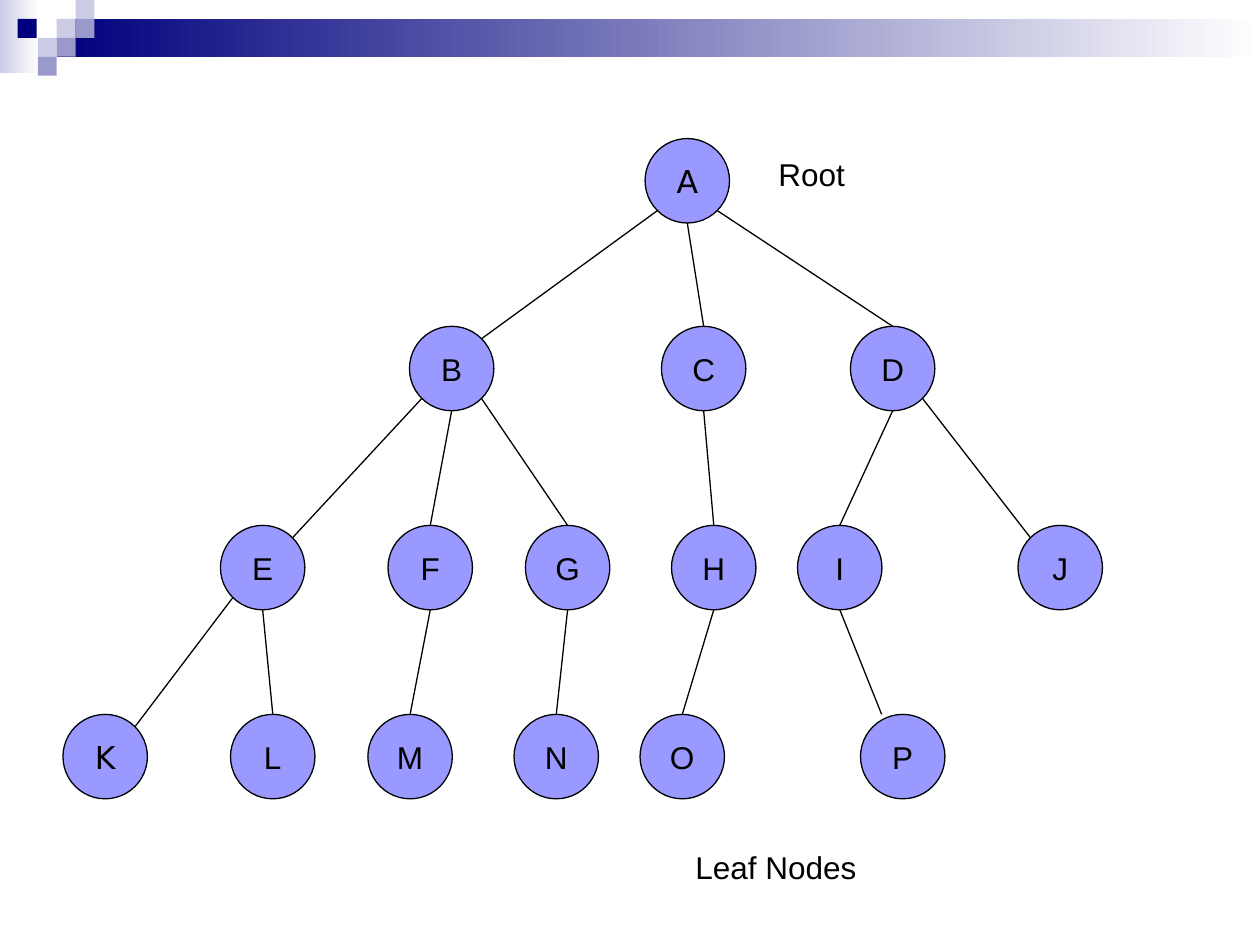
from lxml import etree
from pptx import Presentation
from pptx.dml.color import RGBColor
from pptx.enum import dml, shapes, text
from pptx.oxml import ns
from pptx.util import Inches, Pt

THEME = {
    "navy": "00007D", "lavender": "CCCCE6", "violet": "9999CC",
    "white": "FFFFFF", "node": "9999FF", "ink": "000000",
    "font": "Arial", "symbol_font": "DejaVu Sans", "size": Pt(18), "line": Pt(0.75),
}


def colour(name):
    return RGBColor.from_string(THEME[name])


def write(frame, words, font_name, **format_values):
    for name, value in format_values.items():
        setattr(frame, name, value)
    paragraph = frame.paragraphs[0]
    paragraph.text = words
    for name, value in {"name": THEME[font_name], "size": THEME["size"]}.items():
        setattr(paragraph.font, name, value)
    paragraph.font.color.rgb = colour("ink")
    return paragraph


prs = Presentation()
prs.slide_width, prs.slide_height = Inches(10), Inches(7.5)
slide = prs.slides.add_slide(prs.slide_layouts[6])

# Header band: two gradient bars, then the small squares
header = [
    (0, 0, 0.31, 0.58, ("lavender", "white")),
    (0.45, 0.15, 9.55, 0.3, ("navy", "white")),
]
squares = [
    (0.45, 0.15, "lavender"), (0.6, 0, "lavender"), (0.6, 0.15, "violet"),
    (0.3, 0.3, "lavender"), (0.14, 0.15, "navy"), (0.45, 0.3, "violet"),
    (0.3, 0.45, "violet"),
]
header += [(left, top, 0.15, 0.15, (fill,)) for left, top, fill in squares]
for *place, fills in header:
    block = slide.shapes.add_shape(shapes.MSO_SHAPE.RECTANGLE, *map(Inches, place))
    block.shadow.inherit = False
    block.line.fill.background()
    if len(fills) == 1:
        block.fill.solid()
        block.fill.fore_color.rgb = colour(fills[0])
    else:
        block.fill.gradient()
        block.fill.gradient_angle = 0
        for stop, fill, position in zip(block.fill.gradient_stops, fills, (0, 1)):
            stop.color.rgb = colour(fill)
            stop.position = position

# Tree nodes: one row per level, as top and the left of each node
DIAMETER = 0.67
levels = [
    (1.1, {"A": 5.12}),
    (2.59, {"B": 3.25, "C": 5.25, "D": 6.75}),
    (4.17, {"E": 1.75, "F": 3.08, "G": 4.17, "H": 5.33, "I": 6.33, "J": 8.08}),
    (5.67, {"K": 0.5, "L": 1.83, "M": 2.92, "N": 4.08, "O": 5.08, "P": 6.83}),
]
nodes = {}
for top, row in levels:
    for letter, left in row.items():
        node = slide.shapes.add_shape(
            shapes.MSO_SHAPE.OVAL, *map(Inches, (left, top, DIAMETER, DIAMETER)))
        node.shadow.inherit = False
        node.fill.solid()
        node.fill.fore_color.rgb = colour("node")
        node.line.color.rgb = colour("ink")
        node.line.width = THEME["line"]
        label = write(node.text_frame, letter,
                      "symbol_font" if letter in "AK" else "font",
                      word_wrap=False, vertical_anchor=text.MSO_ANCHOR.MIDDLE)
        label.alignment = text.PP_ALIGN.CENTER
        nodes[letter] = node

# Branches: ends on the circles, as fractions of the diameter
ENDS = {
    "top": (0.5, 0), "bottom": (0.5, 1), "top right": (0.85, 0.15),
    "top left": (0.15, 0.15), "bottom left": (0.15, 0.85),
    "bottom right": (0.85, 0.85), "off top": (0.25, 0),
}
branches = [
    ("AB", "bottom left", "top right"), ("AC", "bottom", "top"),
    ("AD", "bottom right", "top"),
    ("BE", "bottom left", "top right"), ("BF", "bottom", "top"),
    ("BG", "bottom right", "top"), ("CH", "bottom", "top"),
    ("DI", "bottom", "top"), ("DJ", "bottom right", "top left"),
    ("EK", "bottom left", "top right"), ("EL", "bottom", "top"),
    ("FM", "bottom", "top"), ("GN", "bottom", "top"),
    ("HO", "bottom", "top"), ("IP", "bottom", "off top"),
]
for pair, *ends in branches:
    points = []
    for letter, end in zip(pair, ends):
        node, (across, down) = nodes[letter], ENDS[end]
        points += [int(node.left + across * node.width),
                   int(node.top + down * node.height)]
    branch = slide.shapes.add_connector(shapes.MSO_CONNECTOR.STRAIGHT, *points)
    if ends[1] == "top":
        branch.end_connect(nodes[pair[1]], 0)
    branch.line.color.rgb = colour("ink")
    branch.line.width = THEME["line"]
    etree.SubElement(branch.line._get_or_add_ln().getparent(), ns.qn("a:effectLst"))

# Captions
for words, left, top in [("Root", 6.08, 1.18), ("Leaf Nodes", 5.42, 6.68)]:
    caption = slide.shapes.add_textbox(*map(Inches, (left, top, 1.68, 0.4)))
    write(caption.text_frame, words, "font", word_wrap=True,
          auto_size=text.MSO_AUTO_SIZE.SHAPE_TO_FIT_TEXT)

prs.save("out.pptx")
